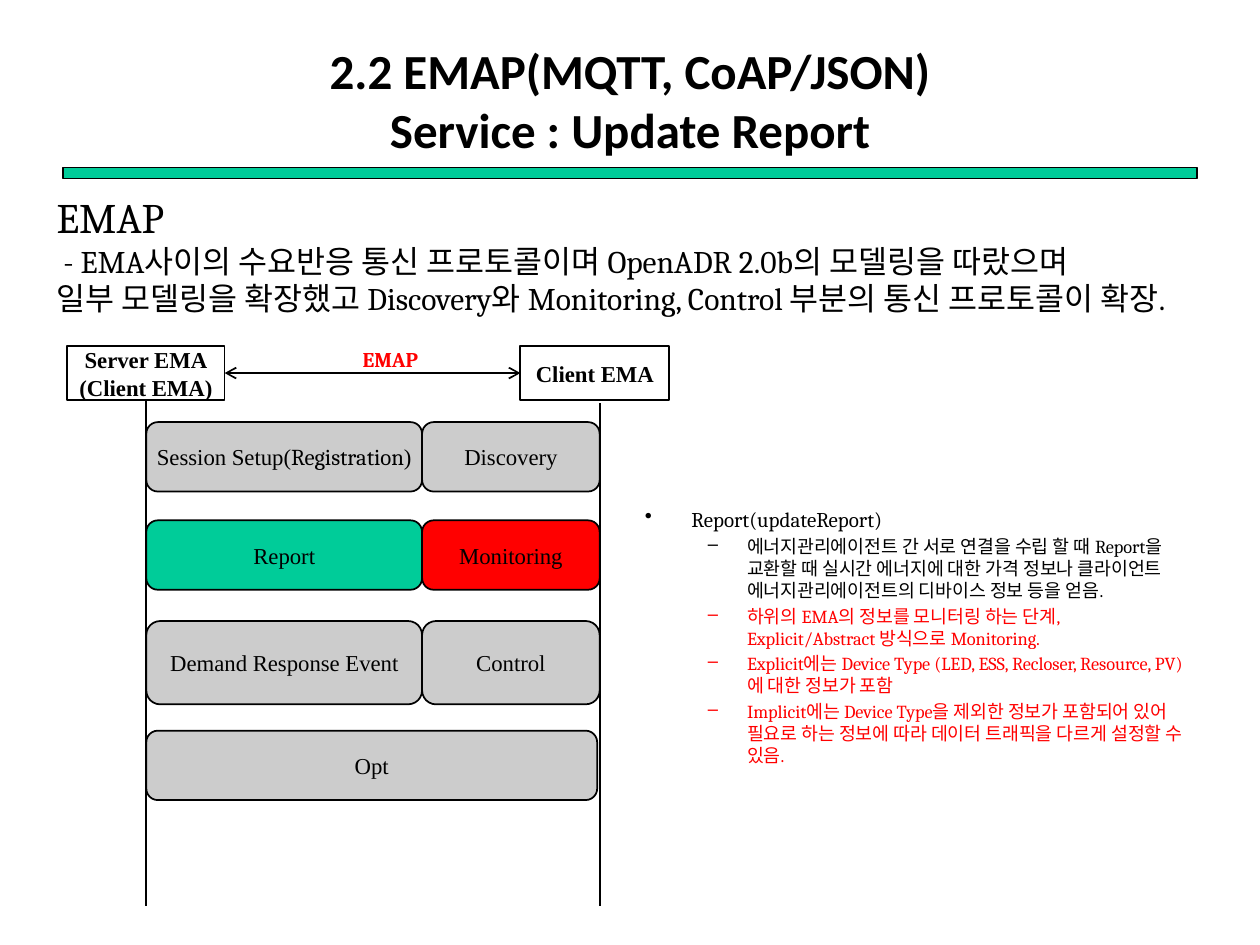
from lxml import etree
from pptx import Presentation
from pptx.dml.color import RGBColor
from pptx.enum.shapes import MSO_CONNECTOR, MSO_SHAPE
from pptx.enum.text import MSO_ANCHOR, PP_ALIGN
from pptx.oxml.ns import qn
from pptx.util import Cm, Pt

RECT, ROUND = MSO_SHAPE.RECTANGLE, MSO_SHAPE.ROUNDED_RECTANGLE
LINE = MSO_CONNECTOR.STRAIGHT
LEFT, MID = PP_ALIGN.LEFT, PP_ALIGN.CENTER
CENTER = MSO_ANCHOR.MIDDLE
INK = {"black": "000000", "white": "FFFFFF", "green": "00CC99",
       "red": "FF0000", "gray": "CCCCCC"}
HEAD, BODY, LABEL = "Calibri", "Cambria", "Times New Roman"


def write(box, text, size=13, font=LABEL, ink="black", bold=False, align=LEFT,
          join=False, space=0, left=0, hang=0, mark=None):
    """Add a paragraph to the box, or a run to its last one if join is set."""
    frame = box.text_frame
    para = frame.paragraphs[-1]
    if para.runs and not join:
        para = frame.add_paragraph()
    if not join:
        para.alignment = align
        para.space_before = Pt(space)
        props = para._p.get_or_add_pPr()
        props.set("marL", str(Cm(left)))
        props.set("indent", str(Cm(-hang)))
        if mark:
            etree.SubElement(props, qn("a:buChar")).set("char", mark)
    for i, part in enumerate(text.split("\v")):
        if i:
            para.add_line_break()
        run = para.add_run()
        run.text = part
        run.font.size, run.font.name, run.font.bold = Pt(size), font, bold
        run.font.color.rgb = RGBColor.from_string(INK[ink])


def draw(kind, x, y, w, h, fill=None, width=1):
    """Add a filled shape, a line (w and h are its span) or a text box."""
    area = Cm(x), Cm(y), Cm(w), Cm(h)
    if kind is None:
        item = slide.shapes.add_textbox(*area)
        item.text_frame.word_wrap = True
        return item
    # Members of different enums can compare equal, so test identity
    if kind is LINE:
        item = slide.shapes.add_connector(
            kind, Cm(x), Cm(y), Cm(x + w), Cm(y + h))
    else:
        item = slide.shapes.add_shape(kind, *area)
        item.shadow.inherit = False
        item.fill.solid()
        item.fill.fore_color.rgb = RGBColor.from_string(INK[fill])
        item.text_frame.word_wrap = False
        item.text_frame.vertical_anchor = CENTER
    item.line.color.rgb = RGBColor.from_string(INK["black"])
    item.line.width = Pt(width)
    if kind is LINE:
        etree.SubElement(item._element.spPr, qn("a:effectLst"))
    return item


deck = Presentation()
deck.slide_width, deck.slide_height = Cm(25.4), Cm(19.05)
slide = deck.slides.add_slide(deck.slide_layouts[6])

# Title and rule
draw(RECT, 1.27, 3.38, 22.86, 0.22, "green", 0.75)
title = draw(None, 1.27, 0.84, 22.86, 2.34)
title.text_frame.vertical_anchor = CENTER
write(title, "2.2 EMAP(MQTT, CoAP/JSON)\vService : Update Report",
      size=28, font=HEAD, bold=True, align=MID)

# Introduction
intro = draw(None, 0.89, 3.73, 24.79, 3.58)
write(intro, "EMAP", size=24, font=BODY)
write(intro, "- EMA사이의 수요반응 통신 프로토콜이며 OpenADR 2.0b의 모델링을 따랐으며",
      size=18, font=BODY, left=0.14)
write(intro, "일부 모델링을 확장했고 Discovery와 Monitoring, Control 부분의 통신 프로토콜이 확장.",
      size=18, font=BODY)

# Lifelines
start, split, end, foot = 2.95, 8.51, 12.09, 18.26
for x, top in ((start, 8.05), (end, 8.13)):
    draw(LINE, x, top, 0, foot - top)

# Agents
for x, w, names in ((1.35, 3.18, ["Server EMA", "(Client EMA)"]),
                    (10.49, 3, ["Client EMA"])):
    agent = draw(RECT, x, 6.98, w, 1.09, "white")
    for name in names:
        write(agent, name, bold=True, align=MID)

# Message arrow
arrow = draw(LINE, 4.53, 7.52, 5.96, 0)
rule = arrow._element.spPr.find(qn("a:ln"))
for tip in ("a:headEnd", "a:tailEnd"):
    etree.SubElement(rule, qn(tip)).set("type", "arrow")
label = draw(None, 7.06, 6.86, 1.96, 0.76)
write(label, "EMAP", size=12, font=BODY, ink="red", bold=True)

# Service rows: top, height, then name and fill of each cell
rows = [
    (8.51, 1.4, ("Session Setup(", "gray"), ("Discovery", "gray")),
    (10.49, 1.4, ("Report", "green"), ("Monitoring", "red")),
    (12.52, 1.68, ("Demand Response Event", "gray"), ("Control", "gray")),
    (14.73, 1.4, ("Opt", "gray")),
]
for top, high, *cells in rows:
    edges = [start, split, end] if len(cells) == 2 else [start, 12.04]
    for (name, fill), x, stop in zip(cells, edges, edges[1:]):
        cell = draw(ROUND, x, top, stop - x, high, fill)
        write(cell, name, align=MID)
        if name.endswith("("):
            write(cell, "Registration", font=BODY, join=True)
            write(cell, ")", join=True)

# Report notes
notes = draw(None, 12.75, 10.08, 11.38, 4.88)
write(notes, "Report(updateReport)", size=12, font=BODY,
      left=0.94, hang=0.94, mark="•")
points = [
    ("에너지관리에이전트 간 서로 연결을 수립 할 때 Report을 교환할 때 실시간 에너지에 대한 "
     "가격 정보나 클라이언트 에너지관리에이전트의 디바이스 정보 등을 얻음.", "black"),
    ("하위의 EMA의 정보를 모니터링 하는 단계, Explicit/Abstract 방식으로 Monitoring.", "red"),
    ("Explicit에는 Device Type (LED, ESS, Recloser, Resource, PV)에 대한 정보가 포함", "red"),
    ("Implicit에는 Device Type을 제외한 정보가 포함되어 있어 필요로 하는 정보에 따라 "
     "데이터 트래픽을 다르게 설정할 수 있음.", "red"),
]
for text, ink in points:
    write(notes, text, size=10.5, font=BODY, ink=ink,
          space=2.1, left=2.06, hang=0.79, mark="–")

deck.save("out.pptx")
